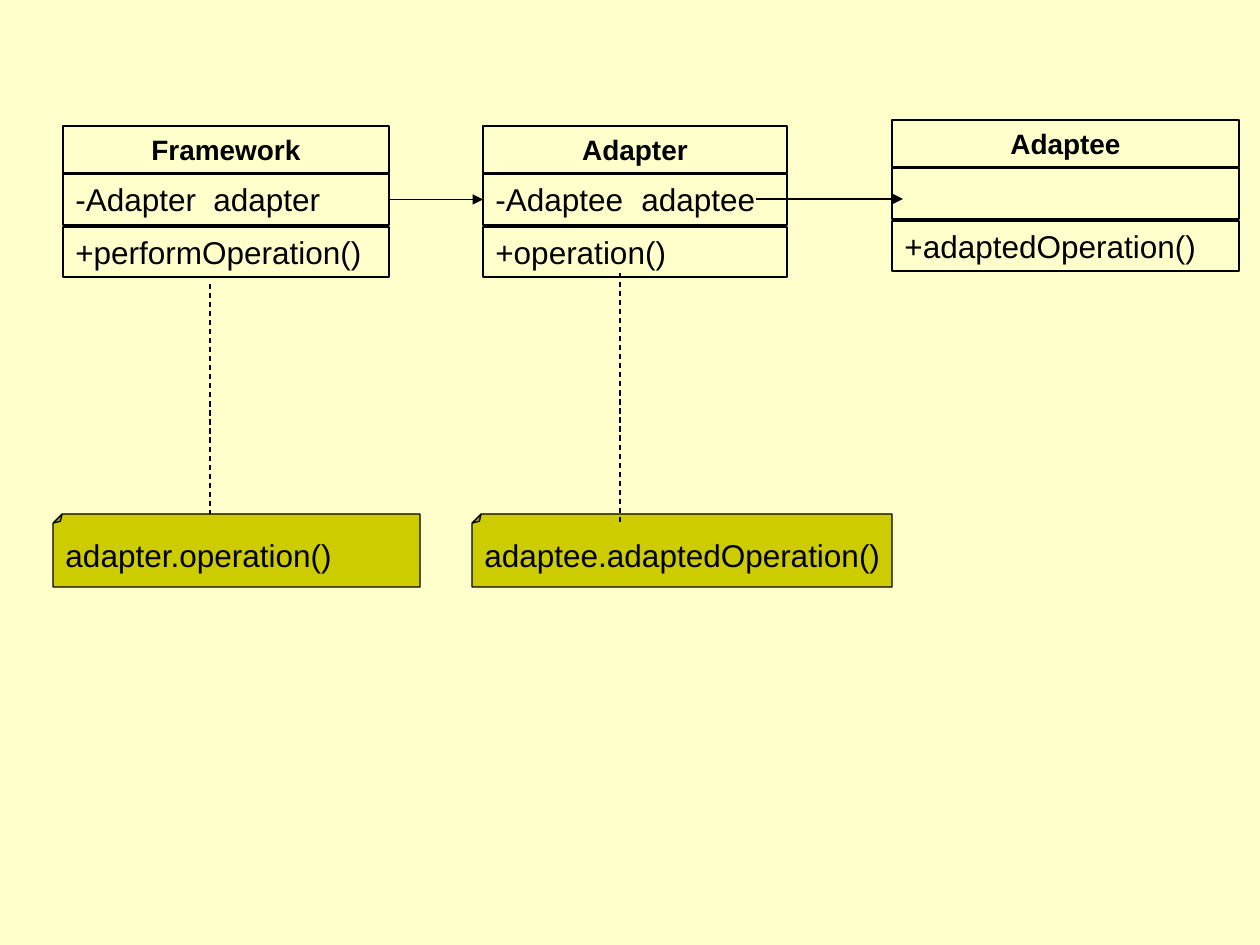
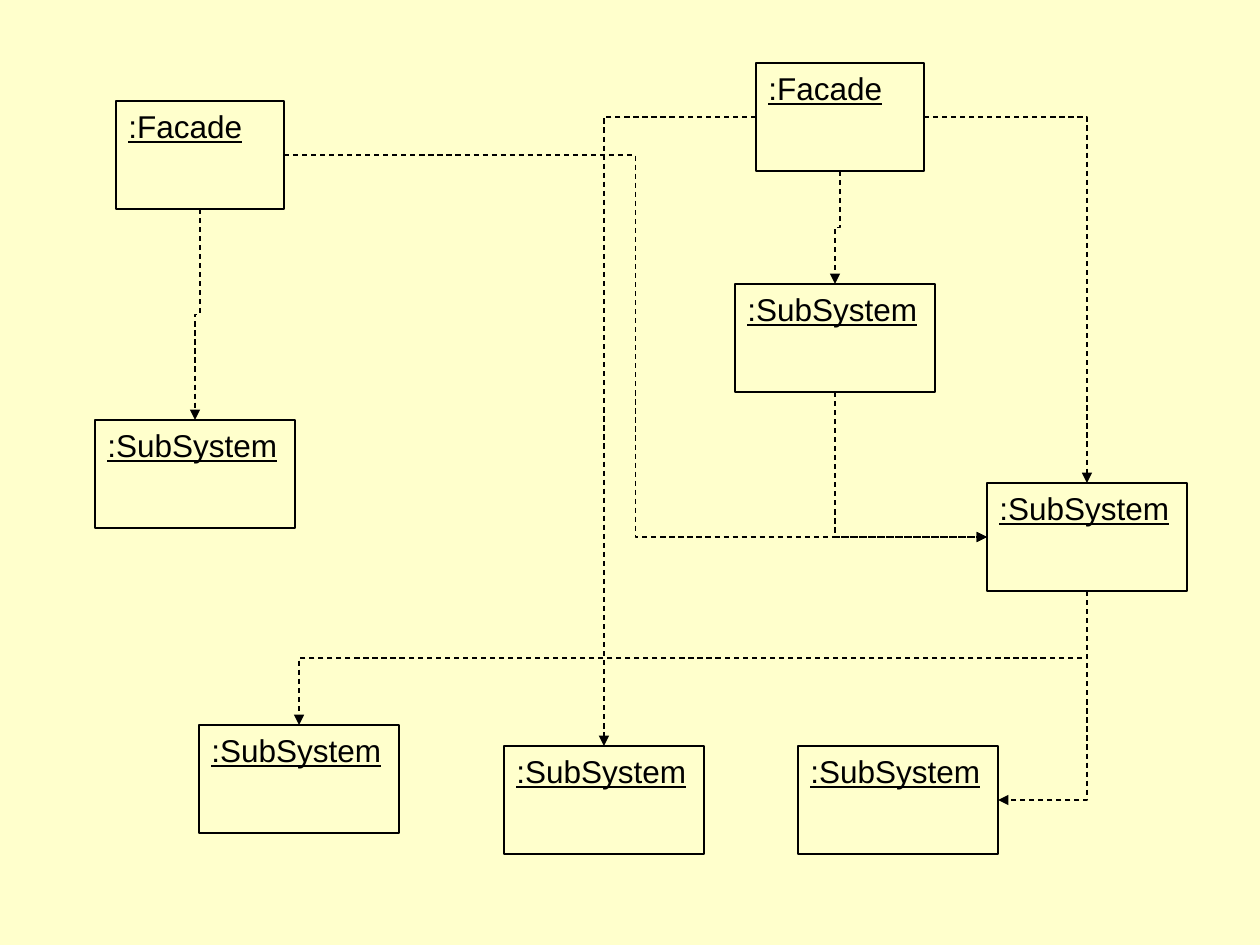
from pptx import Presentation
from pptx.dml.color import RGBColor
from pptx.enum.dml import MSO_LINE
from pptx.enum.shapes import MSO_CONNECTOR as CONNECTOR, MSO_SHAPE as SHAPE
from pptx.enum.text import MSO_ANCHOR as ANCHOR, PP_ALIGN as ALIGN
from pptx.oxml.ns import qn
from pptx.oxml.xmlchemy import OxmlElement
from pptx.util import Inches, Pt

# Shared look
FONT, INK, PAPER, NOTE_FILL = "Arial", "000000", "FFFFCC", "CCCC00"
PX = Inches(1) / 126
TOP, LEFT, BOTTOM, RIGHT = range(4)

# Class diagram: name, left, top, width, attribute, tab stop, operation
CLASSES = [
    ("Framework", 63, 126, 326, "-Adapter\tadapter", 138, "+performOperation()"),
    ("Adapter", 483, 126, 304, "-Adaptee\tadaptee", 146, "+operation()"),
    ("Adaptee", 892, 120, 347, "", None, "+adaptedOperation()"),
]
ROWS = [(0, 47), (48, 51), (101, 50)]  # offset and height of each compartment
NOTES = [
    ("adapter.operation()", 53, 367),
    ("adaptee.adaptedOperation()", 472, 420),
]
NOTE_TOP, NOTE_HEIGHT = 514, 73
ADAPTEE_ARROW = (756, 199, 903, 199)
NOTE_LINKS = [(210, 284, 210, 514), (620, 273, 620, 525)]

# Object diagram: key -> text, left, top
OBJECTS = {
    "facade 1": (":Facade", 116, 101),
    "facade 2": (":Facade", 756, 63),
    "bottom left": (":SubSystem", 199, 725),
    "bottom middle": (":SubSystem", 504, 746),
    "bottom right": (":SubSystem", 798, 746),
    "left": (":SubSystem", 95, 420),
    "centre": (":SubSystem", 735, 284),
    "right": (":SubSystem", 987, 483),
}
OBJECT_WIDTHS = {":Facade": 168, ":SubSystem": 200}
OBJECT_HEIGHT = 108
CALLS = [
    ("facade 1", BOTTOM, "left", TOP),
    ("facade 1", RIGHT, "right", LEFT),
    ("facade 2", LEFT, "bottom middle", TOP),
    ("facade 2", RIGHT, "right", TOP),
    ("right", BOTTOM, "bottom right", RIGHT),
    ("right", BOTTOM, "bottom left", TOP),
    ("facade 2", BOTTOM, "centre", TOP),
    ("centre", BOTTOM, "right", LEFT),
]


def px(*lengths):
    return [round(length * PX) for length in lengths]


def color(hex_code):
    return RGBColor.from_string(hex_code)


def element(tag, **attributes):
    node = OxmlElement(tag)
    for name, value in attributes.items():
        node.set(name, str(value))
    return node


def draw_outline(shape):
    shape.line.color.rgb = color(INK)
    shape.line.width = Pt(0.75)


def add_box(page, text, place, size=18, bold=False, underline=False,
            align=ALIGN.LEFT, tab=None, kind=SHAPE.RECTANGLE):
    box = page.shapes.add_shape(kind, *px(*place))
    box.shadow.inherit = False
    box.fill.background()
    draw_outline(box)
    frame = box.text_frame
    frame.word_wrap = True
    frame.vertical_anchor = ANCHOR.TOP
    if text:
        para = frame.paragraphs[0]
        para.text = text
        para.alignment = align
        if tab:
            stops = element("a:tabLst")
            stops.append(element("a:tab", pos=px(tab)[0], algn="l"))
            para._p.get_or_add_pPr().append(stops)
        font = para.font
        font.name, font.size = FONT, Pt(size)
        font.bold, font.underline = bold, underline
        font.color.rgb = color(INK)
    return box


def add_note(page, text, left, width):
    note = add_box(page, text, (left, NOTE_TOP, width, NOTE_HEIGHT), kind=SHAPE.FOLDED_CORNER)
    geometry = note._element.spPr.find(qn("a:prstGeom"))
    geometry.get_or_add_avLst().append(element("a:gd", name="adj", fmla="val 12500"))
    note.rotation = 180
    note.fill.solid()
    note.fill.fore_color.rgb = color(NOTE_FILL)
    frame = note.text_frame
    frame.word_wrap = False
    frame.vertical_anchor = ANCHOR.MIDDLE
    frame._txBody.bodyPr.set("rot", str(180 * 60000))  # keeps the text upright


def add_link(page, ends=(0, 0, 0, 0), kind=CONNECTOR.STRAIGHT, dashed=False, arrow=True):
    link = page.shapes.add_connector(kind, *px(*ends))
    draw_outline(link)
    if dashed:
        link.line.dash_style = MSO_LINE.DASH
    properties = link._element.spPr
    if arrow:
        properties.find(qn("a:ln")).append(element("a:tailEnd", type="triangle"))
    properties.append(element("a:effectLst"))
    return link


def join(link, source, source_side, target, target_side):
    link.begin_connect(source, source_side)
    link.end_connect(target, target_side)


def add_call(page, source, source_side, target, target_side):
    """Elbow arrow; one that leaves downwards is a sideways elbow turned a quarter."""
    link = add_link(page, kind=CONNECTOR.ELBOW, dashed=True)
    join(link, source, source_side, target, target_side)
    properties = link._element.spPr
    if source_side % 2 != target_side % 2:  # one corner only
        properties.find(qn("a:prstGeom")).set("prst", "bentConnector2")
    if source_side == BOTTOM:
        across, down = link.end_x - link.begin_x, link.end_y - link.begin_y
        middle_x, middle_y = link.begin_x + across / 2, link.begin_y + down / 2
        link.left, link.top = round(middle_x - down / 2), round(middle_y - abs(across) / 2)
        link.width, link.height = down, abs(across)
        xfrm = properties.find(qn("a:xfrm"))
        xfrm.set("rot", str((270 if across > 0 else 90) * 60000))
        xfrm.set("flipH", "1" if across > 0 else "0")


def build_class_diagram(page):
    attribute_boxes = []
    for name, left, top, width, attribute, tab, operation in CLASSES:
        name_place, attribute_place, operation_place = [
            (left, top + offset, width, height) for offset, height in ROWS]
        add_box(page, name, name_place, size=16, bold=True, align=ALIGN.CENTER)
        attribute_boxes.append(add_box(page, attribute, attribute_place, tab=tab))
        add_box(page, operation, operation_place)
    framework, adapter, _ = attribute_boxes
    join(add_link(page), framework, RIGHT, adapter, LEFT)
    add_link(page, ADAPTEE_ARROW)
    for note in NOTES:
        add_note(page, *note)
    for ends in NOTE_LINKS:
        add_link(page, ends, dashed=True, arrow=False)


def build_object_diagram(page):
    boxes = {
        key: add_box(page, text, (left, top, OBJECT_WIDTHS[text], OBJECT_HEIGHT), underline=True)
        for key, (text, left, top) in OBJECTS.items()
    }
    for source, source_side, target, target_side in CALLS:
        add_call(page, boxes[source], source_side, boxes[target], target_side)


def main():
    deck = Presentation()
    deck.slide_width, deck.slide_height = px(1260, 945)
    background = deck.slide_master.background.fill
    background.solid()
    background.fore_color.rgb = color(PAPER)
    blank = deck.slide_layouts[6]
    for build in (build_class_diagram, build_object_diagram):
        build(deck.slides.add_slide(blank))
    deck.save("out.pptx")


if __name__ == "__main__":
    main()
